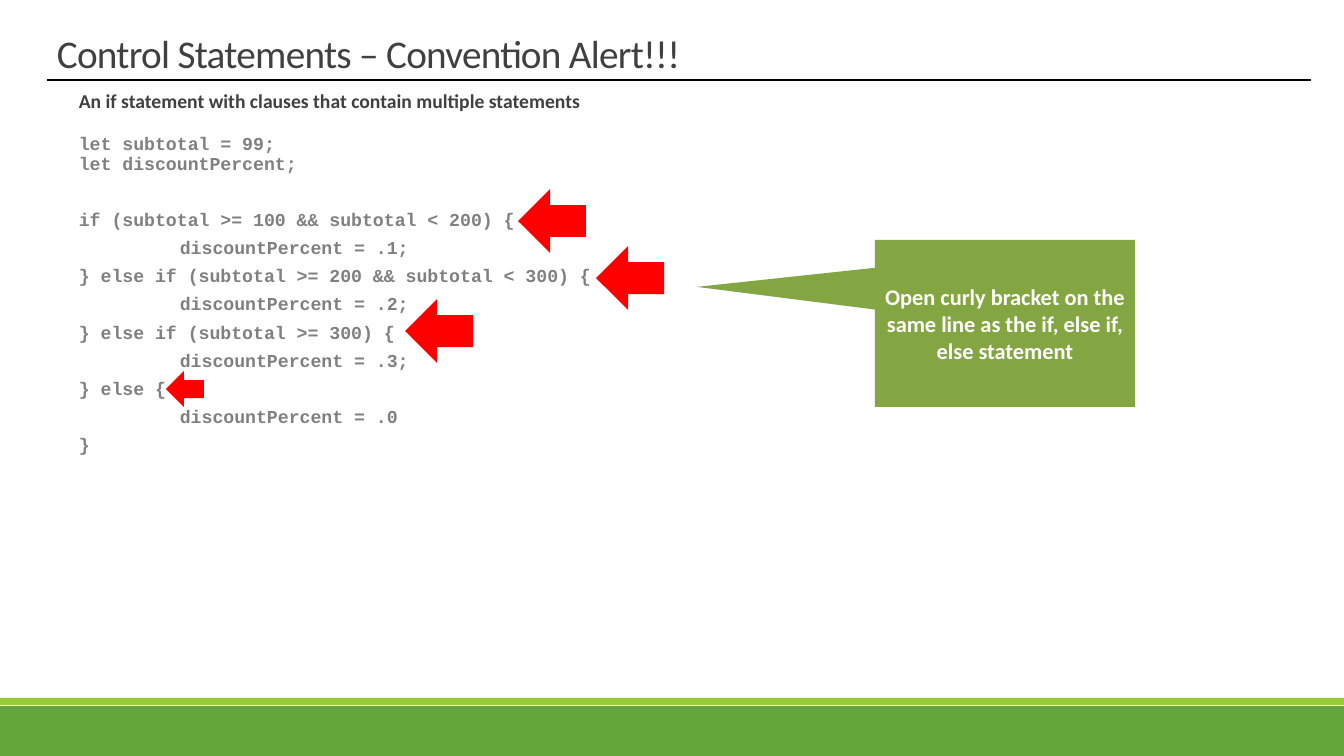
from lxml import etree
from pptx import Presentation
from pptx.dml.color import RGBColor
from pptx.enum.shapes import MSO_CONNECTOR, MSO_SHAPE
from pptx.enum.text import MSO_ANCHOR, PP_ALIGN
from pptx.oxml.ns import qn
from pptx.util import Emu, Pt

RECT, ARROW = MSO_SHAPE.RECTANGLE, MSO_SHAPE.RIGHT_ARROW
CALLOUT = MSO_SHAPE.RECTANGULAR_CALLOUT
TOP, MIDDLE, BOTTOM = MSO_ANCHOR.TOP, MSO_ANCHOR.MIDDLE, MSO_ANCHOR.BOTTOM
LEFT, CENTER = PP_ALIGN.LEFT, PP_ALIGN.CENTER
SCALE = 914400 / 100.8
SANS, MONO = "Calibri", "Courier New"
DARK, GREY, RED = "404040", "808080", "FF0000"


def px(*nums):
    """Turn pixels into a list of EMU lengths."""
    return [Emu(round(n * SCALE)) for n in nums]


def write(para, text, size, color, font=SANS, bold=False, align=LEFT,
          line=1.0, before=0, after=0, indent=0, track=0):
    """Put one formatted run of text into a paragraph."""
    para.alignment, para.line_spacing = align, line
    para.space_before, para.space_after = Pt(before), Pt(after)
    if indent:
        props = para._p.get_or_add_pPr()
        props.set("marL", str(px(indent)[0]))
        props.set("indent", "0")
    run = para.add_run()
    run.text = text
    run.font.name, run.font.size, run.font.bold = font, Pt(size), bold
    run.font.color.rgb = RGBColor.from_string(color)
    if track:
        run._r.get_or_add_rPr().set("spc", str(track))


deck = Presentation()
deck.slide_width, deck.slide_height = px(1344, 756)
slide = deck.slides.add_slide(deck.slide_layouts[6])
shapes = slide.shapes

# Footer bands, red arrows and the callout
blocks = [
    (RECT, (0, 706, 1344, 50), "63A537"),
    (RECT, (0, 698, 1344, 7), "99CB38"),
    (ARROW, (518, 189, 68, 64), RED),
    (ARROW, (596, 246, 68, 64), RED),
    (ARROW, (405, 299, 68, 64), RED),
    (ARROW, (166, 371, 38, 36), RED),
    (CALLOUT, (875, 240, 260, 167), "739A28"),
]
for kind, box, color in blocks:
    shape = shapes.add_shape(kind, *px(*box))
    shape.shadow.inherit = False
    shape.fill.solid()
    shape.fill.fore_color.rgb = RGBColor.from_string(color)
    shape.line.fill.background()
    if kind == ARROW:
        shape.rotation = 180
    if kind == CALLOUT:
        shape.adjustments[0], shape.adjustments[1] = -1.185, -0.219
        tint = shape._element.spPr.find(".//" + qn("a:srgbClr"))
        etree.SubElement(tint, qn("a:alpha")).set("val", "88000")
        frame = shape.text_frame
        frame.word_wrap, frame.vertical_anchor = True, MIDDLE
        write(frame.paragraphs[0], "Open curly bracket on the same line as "
              "the if, else if, else statement", 16, "FFFFFF",
              bold=True, align=CENTER)

# Title and rule
frame = shapes.add_textbox(*px(47, 0, 1109, 81)).text_frame
frame.word_wrap, frame.vertical_anchor = True, BOTTOM
write(frame.paragraphs[0], "Control Statements – Convention Alert!!!",
      28, DARK, line=0.85, track=-50)
rule = shapes.add_connector(MSO_CONNECTOR.STRAIGHT, *px(47, 80, 1311, 80))
rule.line.color.rgb = RGBColor.from_string("000000")
rule.line.width = Pt(1)
etree.SubElement(rule._element.spPr, qn("a:effectLst"))

# Heading and code: text, indent step, space before, space after
code = [
    ("let subtotal = 99;", 0, 0, 0),
    ("let discountPercent;", 0, 0, 4),
    ("if (subtotal >= 100 && subtotal < 200) {", 0, 22.3, 4),
    ("discountPercent = .1;", 1, 2, 4),
    ("} else if (subtotal >= 200 && subtotal < 300) {", 0, 2, 4),
    ("discountPercent = .2;", 1, 2, 4),
    ("} else if (subtotal >= 300) {", 0, 2, 4),
    ("discountPercent = .3;", 1, 2, 4),
    ("} else {", 0, 2, 4),
    ("discountPercent = .0", 1, 2, 4),
    ("}", 0, 2, 4),
]
frame = shapes.add_textbox(*px(47, 87, 1255, 610)).text_frame
frame.word_wrap, frame.vertical_anchor = True, TOP
write(frame.paragraphs[0],
      "An if statement with clauses that contain multiple statements",
      14, DARK, bold=True, line=0.9, before=2, after=15.4, indent=22)
for text, step, before, after in code:
    write(frame.add_paragraph(), text, 13, GREY, font=MONO, bold=True,
          line=0.9, before=before, after=after, indent=22 + 101 * step)

deck.save("out.pptx")
